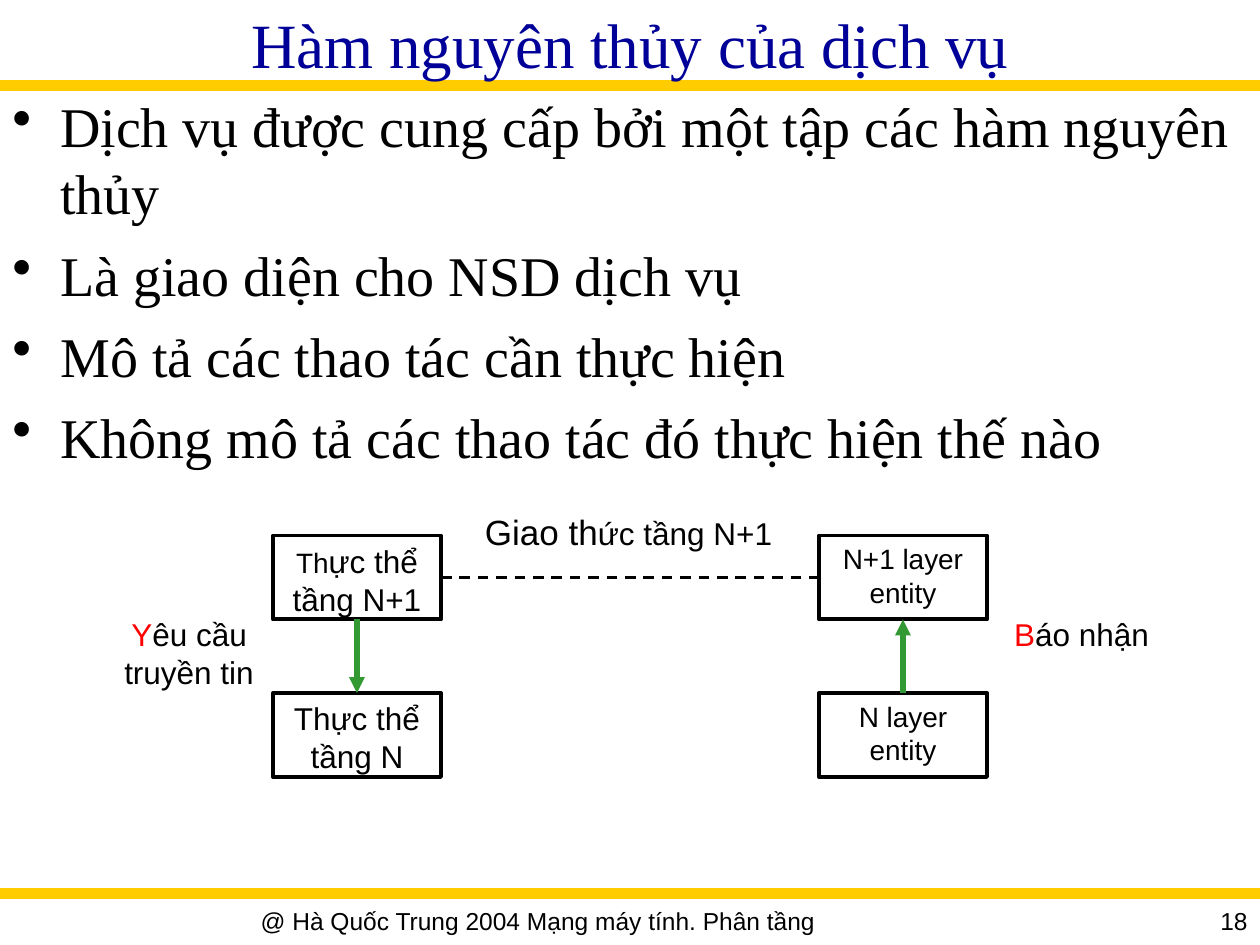
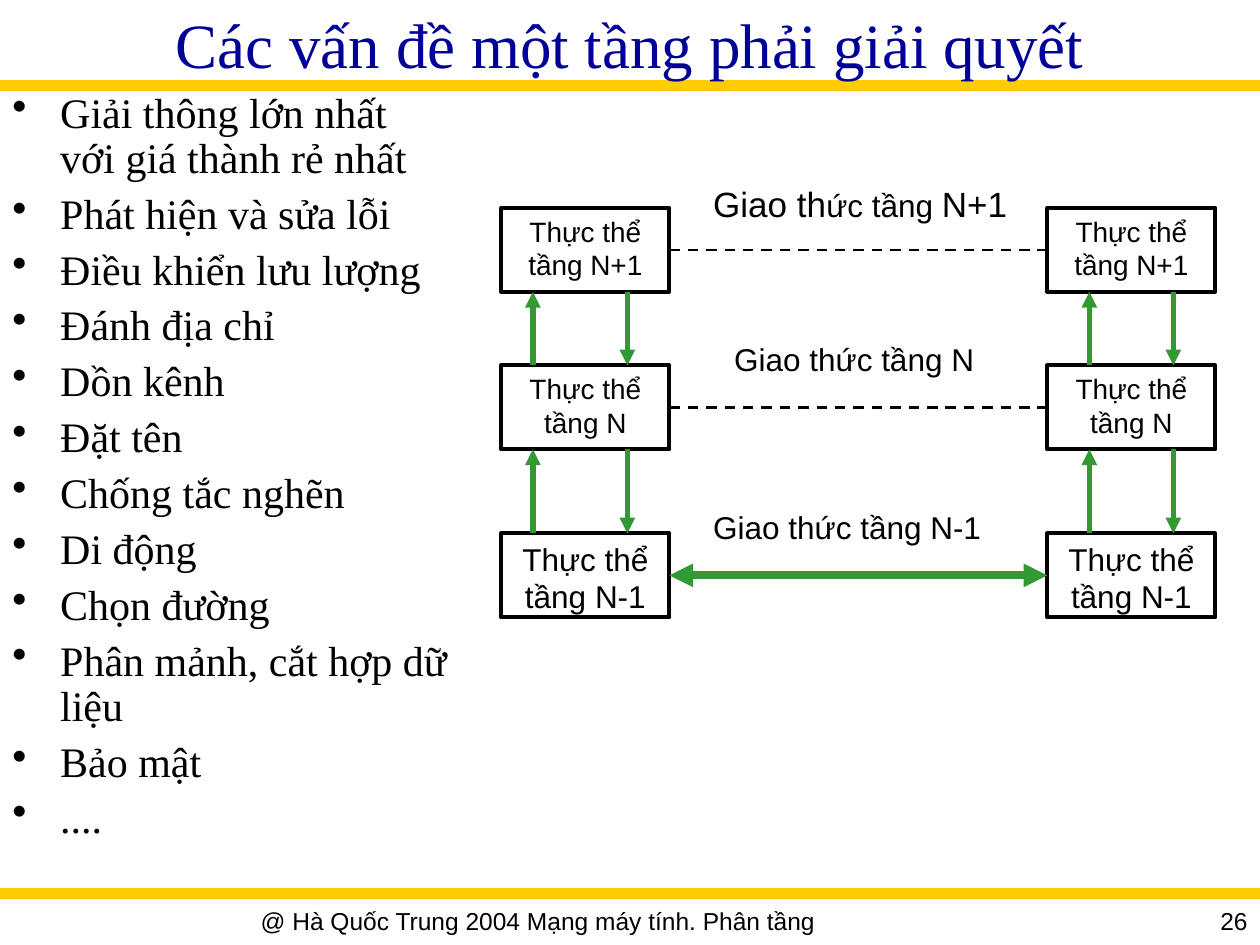
"""Build two slides on the service primitives and design issues of network layers."""
import lxml.etree
import pptx
import pptx.dml.color
import pptx.enum.dml
import pptx.enum.shapes
import pptx.enum.text
import pptx.oxml.ns
import pptx.util

BLACK = pptx.dml.color.RGBColor(0x00, 0x00, 0x00)
NAVY = pptx.dml.color.RGBColor(0x00, 0x00, 0x99)
GOLD = pptx.dml.color.RGBColor(0xFF, 0xCC, 0x00)
GREEN = pptx.dml.color.RGBColor(0x33, 0x99, 0x33)
RED = pptx.dml.color.RGBColor(0xFF, 0x00, 0x00)
SERIF, SANS = "Times New Roman", "Arial"
LEFT = pptx.enum.text.PP_ALIGN.LEFT
CENTER = pptx.enum.text.PP_ALIGN.CENTER
RIGHT = pptx.enum.text.PP_ALIGN.RIGHT

presentation = pptx.Presentation()
presentation.slide_width = pptx.util.Inches(10)
presentation.slide_height = pptx.util.Inches(7.5)

GRID_COLUMNS = 120
CELL = presentation.slide_width / GRID_COLUMNS
TITLE_BAND, FOOTER_BAND, FOOTER_TOP = 8.15, 85.1, 85.7
ENTITY_WIDTH, ENTITY_HEIGHT, ENTITY_STEP = 16, 8, 52
FOOTER = "@ Hà Quốc Trung 2004 Mạng máy tính. Phân tầng"


def add_text(slide, area, paragraphs, alignment=LEFT, font_name=SANS, outlined=False):
    """Add a text box, or an outlined rectangle, from lists of (text, size, color) runs."""
    area = [round(length * CELL) for length in area]
    if outlined:
        shape = slide.shapes.add_shape(pptx.enum.shapes.MSO_SHAPE.RECTANGLE, *area)
        shape.shadow.inherit = False
        shape.fill.background()
        shape.line.color.rgb = BLACK
        shape.line.width = pptx.util.Pt(2.25)
    else:
        shape = slide.shapes.add_textbox(*area)
    frame = shape.text_frame
    frame.word_wrap = True
    frame.vertical_anchor = pptx.enum.text.MSO_ANCHOR.TOP
    for index, runs in enumerate(paragraphs):
        paragraph = frame.add_paragraph() if index else frame.paragraphs[0]
        paragraph.alignment = alignment
        for text, size, color in runs:
            run = paragraph.add_run()
            run.text = text
            run.font.name = font_name
            run.font.size = pptx.util.Pt(size)
            run.font.color.rgb = color
    return frame


def add_line(slide, start, end, color, width, ends=(), dashed=False):
    """Add a straight line with triangles at the named ends."""
    points = [round(length * CELL) for length in (*start, *end)]
    connector = slide.shapes.add_connector(pptx.enum.shapes.MSO_CONNECTOR.STRAIGHT, *points)
    connector.line.color.rgb = color
    connector.line.width = pptx.util.Pt(width)
    if dashed:
        connector.line.dash_style = pptx.enum.dml.MSO_LINE.DASH
    properties = connector.element.spPr
    outline = properties.find(pptx.oxml.ns.qn("a:ln"))
    for end_name in ends:
        lxml.etree.SubElement(outline, pptx.oxml.ns.qn(f"a:{end_name}"), type="triangle")
    lxml.etree.SubElement(properties, pptx.oxml.ns.qn("a:effectLst"))


pages = [
    {
        "number": "18",
        "title": "Hàm nguyên thủy của dịch vụ",
        "bullets": [
            "Dịch vụ được cung cấp bởi một tập các hàm nguyên thủy",
            "Là giao diện cho NSD dịch vụ",
            "Mô tả các thao tác cần thực hiện",
            "Không mô tả các thao tác đó thực hiện thế nào",
        ],
        "body": {"width": 120, "size": 32, "spacing": 1.0, "before": 8},
        "origin": (26, 51),
        "rows": [0, 15],
        "entities": [
            [[("Th", 16), ("ực thể tầng N+1", 18)], [("N+1 layer entity", 16)]],
            [[("Thực thể tầng N", 18)], [("N layer entity", 16)]],
        ],
        "protocols": [(19, [("Giao th", 20), ("ức tầng N+1", 18)])],
        "down": [8, None],
        "up": [None, 8],
        "physical_row": None,
        "primitives": [
            (10, 16, "Y", "êu cầu truyền tin"),
            (94, 18, "B", "áo nhận"),
        ],
    },
    {
        "number": "26",
        "title": "Các vấn đề một tầng phải giải quyết",
        "bullets": [
            "Giải thông lớn nhất với giá thành rẻ nhất",
            "Phát hiện và sửa lỗi",
            "Điều khiển lưu lượng",
            "Đánh địa chỉ",
            "Dồn kênh",
            "Đặt tên",
            "Chống tắc nghẽn",
            "Di động",
            "Chọn đường",
            "Phân mảnh, cắt hợp dữ liệu",
            "Bảo mật",
            "....",
        ],
        "body": {"width": 43.9, "size": 24, "spacing": 0.9, "before": 6},
        "origin": (47.75, 19.8),
        "rows": [0, 15, 31],
        "entities": [
            [[("Thực thể tầng N+1", 16)]] * 2,
            [[("Thực thể tầng N", 16)]] * 2,
            [[("Thực thể tầng N-1", 18)]] * 2,
        ],
        "protocols": [
            (19, [("Giao th", 20), ("ức tầng ", 18), ("N+1", 20)]),
            (21, [("Giao thức tầng N", 18)]),
            (19, [("Giao thức tầng N-1", 18)]),
        ],
        "down": [12, 12],
        "up": [3, 4],
        "physical_row": 2,
        "primitives": [],
    },
]

for page in pages:
    slide = presentation.slides.add_slide(presentation.slide_layouts[6])
    for band in (TITLE_BAND, FOOTER_BAND):
        add_line(slide, (0, band), (GRID_COLUMNS, band), GOLD, 6)

    title = add_text(slide, (0, 0, GRID_COLUMNS, TITLE_BAND),
                     [[(page["title"], 36, NAVY)]], CENTER, SERIF)
    title.vertical_anchor = pptx.enum.text.MSO_ANCHOR.MIDDLE

    body = page["body"]
    body_frame = add_text(slide, (0, TITLE_BAND, body["width"], 76.5),
                          [[(text, body["size"], BLACK)] for text in page["bullets"]],
                          font_name=SERIF)
    for index, paragraph in enumerate(body_frame.paragraphs):
        properties = paragraph._p.get_or_add_pPr()
        properties.set("marL", str(pptx.util.Inches(0.38)))
        properties.set("indent", str(-pptx.util.Inches(0.38)))
        bullet_color = lxml.etree.SubElement(properties, pptx.oxml.ns.qn("a:buClr"))
        lxml.etree.SubElement(bullet_color, pptx.oxml.ns.qn("a:srgbClr"), val=str(BLACK))
        lxml.etree.SubElement(properties, pptx.oxml.ns.qn("a:buChar"), char="•")
        paragraph.line_spacing = body["spacing"]
        if index:
            paragraph.space_before = pptx.util.Pt(body["before"])

    left, top = page["origin"]
    row_tops = [top + row for row in page["rows"]]
    for row_top, entities in zip(row_tops, page["entities"]):
        for side, runs in enumerate(entities):
            add_text(slide, (left + side * ENTITY_STEP, row_top, ENTITY_WIDTH, ENTITY_HEIGHT),
                     [[(text, size, BLACK) for text, size in runs]], CENTER, outlined=True)

    for row, (offset, runs) in enumerate(page["protocols"]):
        middle = row_tops[row] + ENTITY_HEIGHT / 2
        start, end = (left + ENTITY_WIDTH, middle), (left + ENTITY_STEP, middle)
        if row == page["physical_row"]:
            add_line(slide, start, end, GREEN, 4.5, ("headEnd", "tailEnd"))
        else:
            add_line(slide, start, end, BLACK, 1.5, dashed=True)
        add_text(slide, (left + offset, row_tops[row] - 3, 31, 5),
                 [[(text, size, BLACK) for text, size in runs]])

    for upper_top, lower_top in zip(row_tops, row_tops[1:]):
        upper_edge = upper_top + ENTITY_HEIGHT
        for side in range(2):
            for offset, start_row, end_row in (
                (page["down"][side], upper_edge, lower_top),
                (page["up"][side], lower_top, upper_edge),
            ):
                if offset is not None:
                    column = left + side * ENTITY_STEP + offset
                    add_line(slide, (column, start_row), (column, end_row), GREEN, 3, ("tailEnd",))

    for column, width, initial, rest in page["primitives"]:
        add_text(slide, (column, 58, width, 8), [[(initial, 18, RED), (rest, 18, BLACK)]], CENTER)

    add_text(slide, (0, FOOTER_TOP, 102.5, 4.3), [[(FOOTER, 14, BLACK)]], CENTER)
    add_text(slide, (103, FOOTER_TOP, 17, 3.7), [[(page["number"], 14, BLACK)]], RIGHT)

presentation.save("out.pptx")
